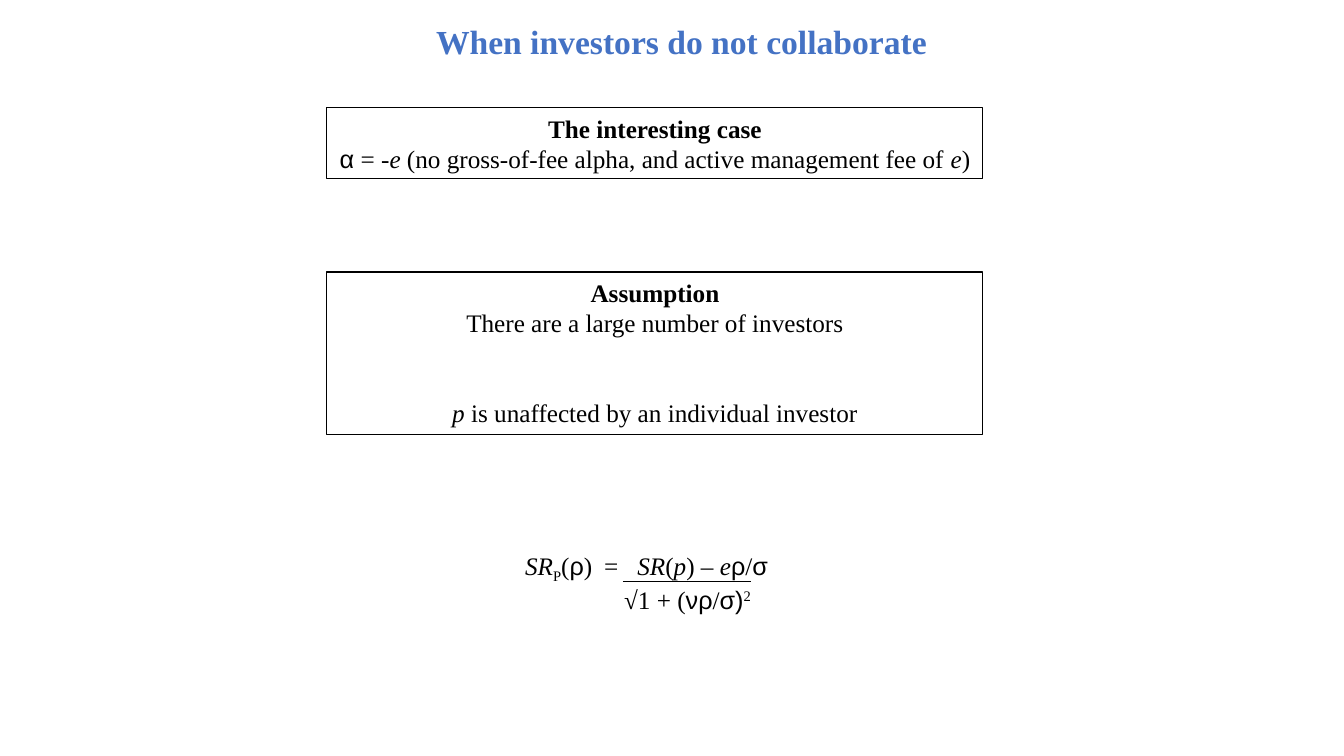
from dataclasses import dataclass

from lxml import etree
from pptx import Presentation
from pptx.dml.color import RGBColor
from pptx.enum.shapes import MSO_CONNECTOR, MSO_SHAPE
from pptx.enum.text import MSO_ANCHOR, MSO_AUTO_SIZE, PP_ALIGN
from pptx.oxml.ns import qn
from pptx.util import Emu, Pt

RECTANGLE = MSO_SHAPE.RECTANGLE
STRAIGHT = MSO_CONNECTOR.STRAIGHT
TOP = MSO_ANCHOR.TOP
NO_AUTOFIT = MSO_AUTO_SIZE.NONE
CENTER = PP_ALIGN.CENTER
TITLE_ONLY_LAYOUT = 5
PIXELS_PER_INCH = 100.8


@dataclass(frozen=True)
class Theme:
    title_color: RGBColor = RGBColor(0x44, 0x72, 0xC4)
    ink: RGBColor = RGBColor(0, 0, 0)
    serif: str = "Times New Roman"
    greek: str = "Arial"
    title_size: int = 24
    body_size: int = 18
    border: float = 0.75
    fraction_bar: float = 0.5


THEME = Theme()
BOLD = {"bold": True}
ITALIC = {"italic": True}
GREEK = {"font": THEME.greek}


def px(length):
    return Emu(round(length * 914400 / PIXELS_PER_INCH))


def add_run(paragraph, text, font=THEME.serif, size=THEME.body_size, color=THEME.ink,
            bold=False, italic=False, baseline=0, spacing=0):
    run = paragraph.add_run()
    run.text = text
    run.font.name = font
    run.font.size = Pt(size)
    run.font.color.rgb = color
    run.font.bold = bold
    run.font.italic = italic
    properties = run._r.get_or_add_rPr()
    if baseline:
        properties.set("baseline", str(baseline * 1000))
    if spacing:
        properties.set("spc", str(spacing * 100))


def fill_text(shape, lines):
    frame = shape.text_frame
    frame.word_wrap = True
    frame.auto_size = NO_AUTOFIT
    frame.vertical_anchor = TOP
    for index, runs in enumerate(lines):
        paragraph = frame.paragraphs[0] if index == 0 else frame.add_paragraph()
        paragraph.alignment = CENTER
        for text, text_format in runs:
            add_run(paragraph, text, **text_format)
    return frame.paragraphs


def set_title(slide, text, left, top, width, height):
    title = slide.shapes.title
    title.left, title.top, title.width, title.height = map(px, (left, top, width, height))
    title_format = {"size": THEME.title_size, "color": THEME.title_color, "bold": True}
    fill_text(title, [[(text, title_format)]])


def add_statement_box(slide, lines, top, height, left=327, width=656):
    box = slide.shapes.add_shape(RECTANGLE, *map(px, (left, top, width, height)))
    box.shadow.inherit = False
    box.fill.background()
    box.line.color.rgb = THEME.ink
    box.line.width = Pt(THEME.border)
    return fill_text(box, lines)


def add_formula(slide, lines, left, top, width, height):
    formula = slide.shapes.add_textbox(*map(px, (left, top, width, height)))
    return fill_text(formula, lines)


def add_fraction_bar(slide, left, right, top):
    bar = slide.shapes.add_connector(STRAIGHT, *map(px, (left, top, right, top)))
    bar.line.color.rgb = THEME.ink
    bar.line.width = Pt(THEME.fraction_bar)
    etree.SubElement(bar._element.spPr, qn("a:effectLst"))


def main():
    presentation = Presentation()
    presentation.slide_width, presentation.slide_height = px(1344), px(756)
    slide = presentation.slides.add_slide(presentation.slide_layouts[TITLE_ONLY_LAYOUT])

    set_title(slide, "When investors do not collaborate", 270, 16, 823, 50)

    assumption = add_statement_box(slide, [
        [("Assumption", BOLD)],
        [("There are a large number of investors", {})],
        [("p", ITALIC), (" is unaffected by an individual investor", {})],
    ], top=272, height=163)
    assumption[-1].space_before = Pt(43)

    add_statement_box(slide, [
        [("The interesting case", BOLD)],
        [("α", GREEK), (" = -", {}), ("e", ITALIC),
         (" (no gross-of-fee alpha, and active management fee of ", {}),
         ("e", ITALIC), (")", {})],
    ], top=108, height=71)

    numerator = [
        ("SR", ITALIC), ("P", {"baseline": -25}), ("(", {}), ("ρ", GREEK), (")", {}),
        (" ", {"spacing": 4}), ("=", {}), (" ", {"spacing": 9}),
        ("SR", ITALIC), ("(", {}), ("p", ITALIC), (") – ", {}), ("e", ITALIC),
        ("ρ", GREEK), ("/", {}), ("σ", GREEK),
    ]
    denominator = [("√1 + (", {}), ("νρ", GREEK), ("/", {}), ("σ)", GREEK),
                   ("2", {"baseline": 30})]
    formula = add_formula(slide, [numerator, denominator], 311, 545, 671, 71)
    formula[1]._p.get_or_add_pPr().set("marL", str(px(82)))
    add_fraction_bar(slide, left=623, right=751, top=581)

    presentation.save("out.pptx")


if __name__ == "__main__":
    main()
